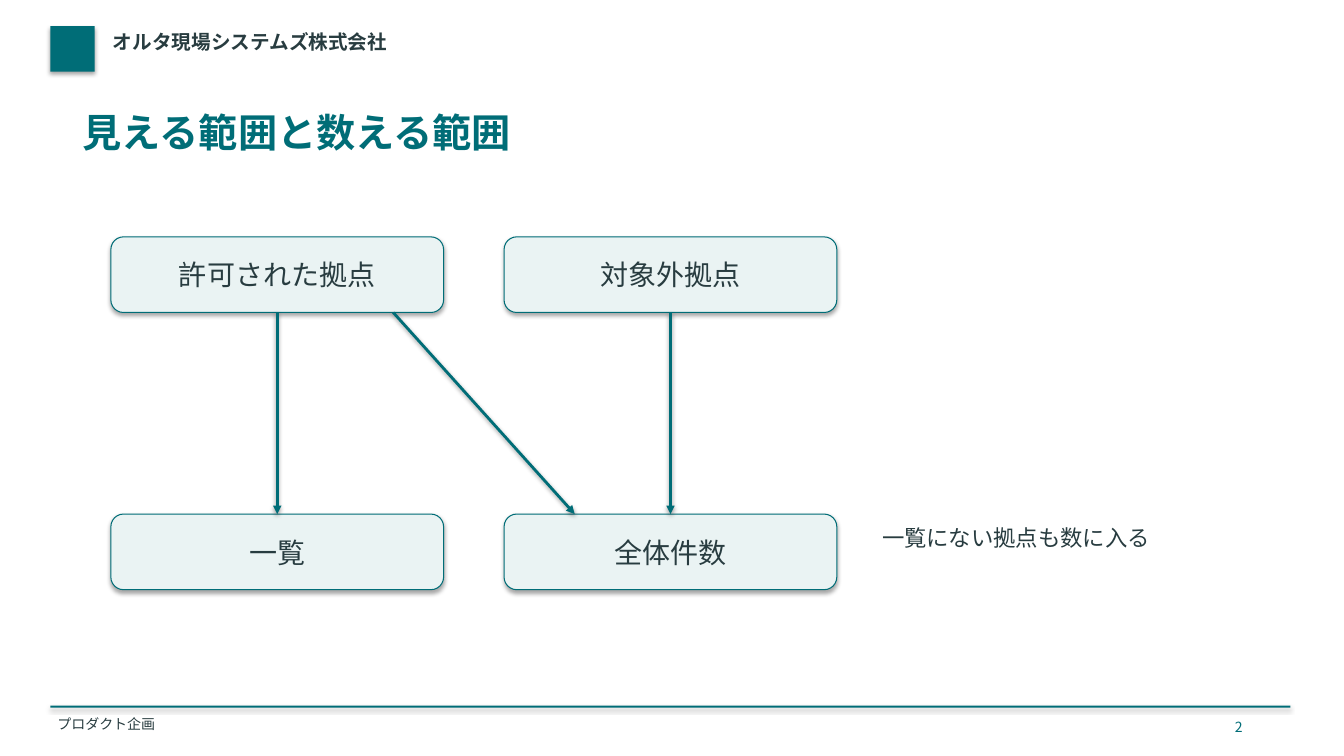
"""Build the slide on which sites are visible and which are counted."""
import pptx
import pptx.dml.color
import pptx.enum.shapes
import pptx.enum.text
import pptx.oxml
import pptx.oxml.ns
import pptx.util

COLORS = {"teal": "006D77", "ink": "283C40", "mist": "EAF3F3", "shade": "000000"}
FONT = "Noto Sans CJK JP"
UNIT = pptx.util.Inches(0.5)
BOX_COLUMNS = (2.2, 10)
BOX_ROWS = (4.7, 10.2)
BOX_WIDTH, BOX_HEIGHT = 6.6, 1.5
TIGHT, ROOMY = (0.04, 0.04), (0.2, 0.1)


def grid(*cells):
    """Turn grid columns and rows into slide lengths."""
    return [round(cell * UNIT) for cell in cells]


def color(name):
    """Return a named colour."""
    return pptx.dml.color.RGBColor.from_string(COLORS[name])


def add_xml(parent, markup):
    """Append a drawing element to a parent element."""
    namespace = pptx.oxml.ns.nsdecls("a")
    parent.append(pptx.oxml.parse_xml(markup.replace(" ", f" {namespace} ", 1)))


def add_shadow(properties, opacity, distance):
    """Give a shape or connector a soft shadow below it."""
    add_xml(properties, f'''<a:effectLst >
        <a:outerShdw blurRad="40000" dist="{distance}" dir="5400000" rotWithShape="0">
        <a:srgbClr val="{COLORS["shade"]}"><a:alpha val="{opacity}"/></a:srgbClr>
        </a:outerShdw></a:effectLst>''')


def write(frame, text, tint, **formats):
    """Write one formatted line into a text frame."""
    para = frame.paragraphs[0]
    span = para.add_run()
    span.text = text
    for name, value in {"name": FONT, **formats}.items():
        setattr(span.font, name, value)
    span.font.color.rgb = color(tint)
    add_xml(span.font._element, f'<a:ea typeface="{FONT}"/>')
    return para


def add_text(page, place, text, tint, size, margins=ROOMY, bold=False):
    """Add a wrapped text box."""
    frame = page.shapes.add_textbox(*grid(*place)).text_frame
    across, down = grid(*margins)
    settings = {
        "word_wrap": True,
        "auto_size": pptx.enum.text.MSO_AUTO_SIZE.SHAPE_TO_FIT_TEXT,
        "margin_left": across, "margin_right": across,
        "margin_top": down, "margin_bottom": down,
    }
    for name, value in settings.items():
        setattr(frame, name, value)
    write(frame, text, tint, size=pptx.util.Pt(size), bold=bold)


def add_panel(page, kind, place, fill, outline=None):
    """Add a filled shape with a shadow."""
    panel = page.shapes.add_shape(kind, *grid(*place))
    panel.fill.solid()
    panel.fill.fore_color.rgb = color(fill)
    if outline:
        panel.line.color.rgb = color(outline)
        panel.line.width = pptx.util.Pt(0.75)
    else:
        panel.line.fill.background()
    add_shadow(panel._element.spPr, 35000, 23000)
    return panel


def add_box(page, column, row, text):
    """Add a labelled rounded box at a grid position."""
    kind = pptx.enum.shapes.MSO_SHAPE.ROUNDED_RECTANGLE
    place = (BOX_COLUMNS[column], BOX_ROWS[row], BOX_WIDTH, BOX_HEIGHT)
    box = add_panel(page, kind, place, "mist", "teal")
    box.text_frame.word_wrap = True
    box.text_frame.vertical_anchor = pptx.enum.text.MSO_ANCHOR.MIDDLE
    para = write(box.text_frame, text, "ink", size=pptx.util.Pt(20))
    para.alignment = pptx.enum.text.PP_ALIGN.CENTER
    return box


def add_arrow(page, start, end):
    """Add a straight arrow between two grid points."""
    kind = pptx.enum.shapes.MSO_CONNECTOR.STRAIGHT
    arrow = page.shapes.add_connector(kind, *grid(*start, *end))
    arrow.line.color.rgb = color("teal")
    arrow.line.width = pptx.util.Pt(2)
    add_xml(arrow.line._get_or_add_ln(), '<a:tailEnd type="triangle"/>')
    add_shadow(arrow._element.spPr, 38000, 20000)
    return arrow


def add_frame(page):
    """Add the header, title and footer."""
    rectangle = pptx.enum.shapes.MSO_SHAPE.RECTANGLE
    add_panel(page, rectangle, (1, 0.52, 0.88, 0.9), "teal")
    add_text(page, (2.2, 0.56, 20, 0.8), "オルタ現場システムズ株式会社", "ink", 14, TIGHT, True)
    add_panel(page, rectangle, (1, 14, 24.6, 0.04), "teal")
    add_text(page, (1.1, 14.16, 18, 0.44), "プロダクト企画", "ink", 10, TIGHT)
    add_text(page, (1.6, 2.1, 23.4, 1.5), "見える範囲と数える範囲", "teal", 28, TIGHT, True)
    add_text(page, (24.3, 14.16, 1, 0.44), "2", "teal", 10)


def add_diagram(page):
    """Add the site boxes, their arrows and the remark."""
    labels = (("許可された拠点", "対象外拠点"), ("一覧", "全体件数"))
    boxes = [[add_box(page, column, row, text) for column, text in enumerate(line)]
             for row, line in enumerate(labels)]
    top, bottom = BOX_ROWS[0] + BOX_HEIGHT, BOX_ROWS[1]
    for column, upper, lower in zip(BOX_COLUMNS, *boxes):
        middle = column + BOX_WIDTH / 2
        arrow = add_arrow(page, (middle, top), (middle, bottom))
        arrow.begin_connect(upper, 2)
        arrow.end_connect(lower, 0)
    add_arrow(page, (7.8, top), (11.4, bottom))
    add_text(page, (17.3, 10.3, 6.8, 1.6), "一覧にない拠点も数に入る", "ink", 16)


def main():
    """Build and save the deck."""
    deck = pptx.Presentation()
    deck.slide_width = pptx.util.Inches(13.33)
    deck.slide_height = pptx.util.Inches(7.5)
    page = deck.slides.add_slide(deck.slide_layouts[6])
    add_frame(page)
    add_diagram(page)
    deck.save("out.pptx")


if __name__ == "__main__":
    main()
